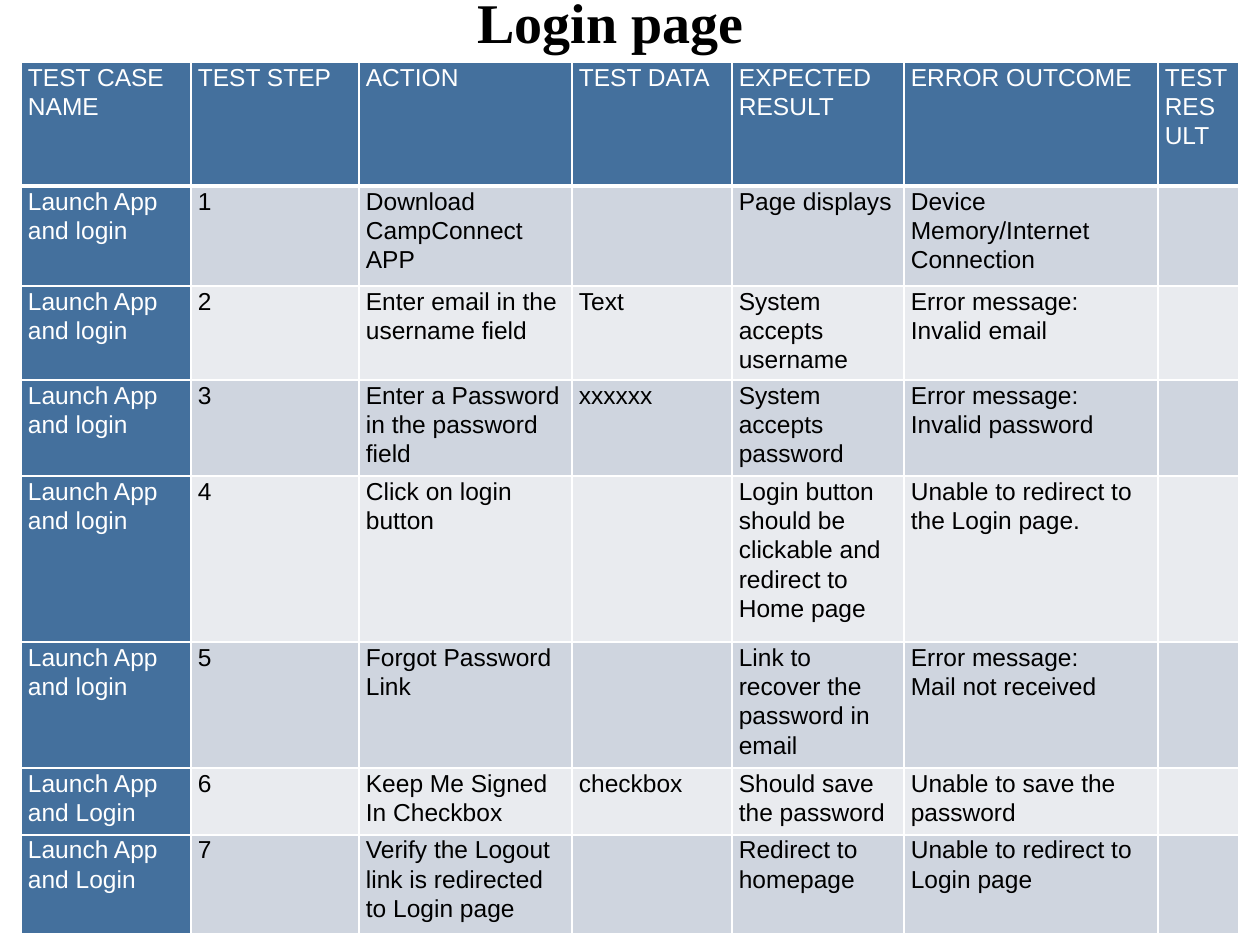
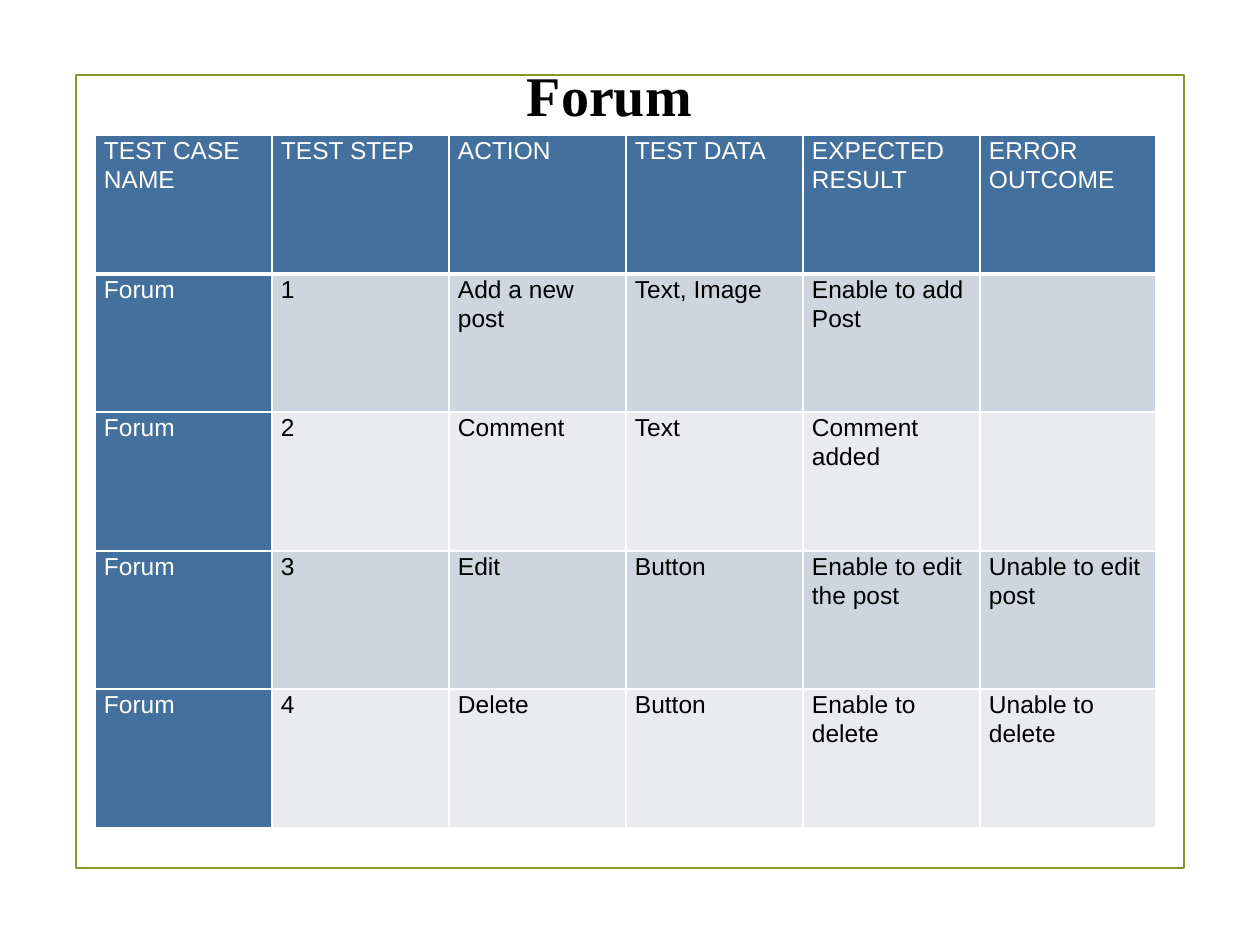
from lxml.etree import SubElement
from pptx import Presentation
from pptx.dml.color import RGBColor
from pptx.enum.shapes import MSO_SHAPE
from pptx.enum.text import PP_ALIGN
from pptx.oxml.ns import qn
from pptx.util import Emu, Pt

BLUE, BAND, PALE = "44709D", "CFD5DF", "E9EBEF"
WHITE, BLACK, GREEN = "FFFFFF", "000000", "83992A"


def px(n):
    return Emu(n * 914400 // 126)


def rgb(color):
    return RGBColor.from_string(color)


HEADERS = ["TEST CASE NAME", "TEST STEP", "ACTION", "TEST DATA",
           "EXPECTED RESULT", "ERROR OUTCOME"]

# Each row: case name, action, test data, expected result, error outcome
login_rows = [
    ["Launch App and login", "Download CampConnect APP", "", "Page displays",
     "Device Memory/Internet Connection"],
    ["Launch App and login", "Enter email in the username field", "Text",
     "System accepts username", "Error message: Invalid email"],
    ["Launch App and login", "Enter a Password in the password field", "xxxxxx",
     "System accepts password", "Error message:\nInvalid password"],
    ["Launch App and login", "Click on login button", "",
     "Login button should be clickable and redirect to Home page",
     "Unable to redirect to the Login page."],
    ["Launch App and login", "Forgot Password\nLink", "",
     "Link to recover the password in email", "Error message:\nMail not received"],
    ["Launch App and Login", "Keep Me Signed In Checkbox", "checkbox",
     "Should save the password", "Unable to save the password"],
    ["Launch App and Login", "Verify the Logout link is redirected to Login page", "",
     "Redirect to homepage", "Unable to redirect to Login page"],
]
forum_rows = [
    ["Forum", "Add a new post", "Text, Image", "Enable to add Post", ""],
    ["Forum", "Comment", "Text", "Comment added", ""],
    ["Forum", "Edit", "Button", "Enable to edit the post", "Unable to edit post"],
    ["Forum", "Delete", "Button", "Enable to delete", "Unable to delete"],
]

pages = [
    dict(title="Login page", title_box=(281, -19, 659, 81), framed=False,
         origin=(21, 62), inset=7, headers=HEADERS + ["TEST RESULT"], rows=login_rows,
         widths=[170, 168, 213, 160, 172, 254, 81],
         heights=[124, 100, 94, 96, 166, 126, 67, 99]),
    dict(title="Forum", title_box=(302, 54, 615, 81), framed=True,
         origin=(95, 135), inset=9, headers=HEADERS, rows=forum_rows,
         widths=[177] * 5 + [176], heights=[139, 138] * 2 + [139]),
]

prs = Presentation()
prs.slide_width, prs.slide_height = px(1260), px(945)

for page in pages:
    s = prs.slides.add_slide(prs.slide_layouts[6])

    # Green frame
    if page["framed"]:
        sp = s.shapes.add_shape(MSO_SHAPE.RECTANGLE, px(76), px(75), px(1108), px(793))
        sp.shadow.inherit = False
        sp.fill.background()
        sp.line.color.rgb = rgb(GREEN)
        sp.line.width = Pt(1.25)

    # Test case table
    headers, widths, heights = page["headers"], page["widths"], page["heights"]
    left, top = page["origin"]
    table = s.shapes.add_table(len(heights), len(widths), px(left), px(top),
                               px(sum(widths)), px(sum(heights))).table
    table.horz_banding = False
    for column, width in zip(table.columns, widths):
        column.width = px(width)
    for row, height in zip(table.rows, heights):
        row.height = px(height)

    grid = [headers]
    for step, (case, *details) in enumerate(page["rows"], 1):
        cells = [case, str(step), *details]
        grid.append(cells + [""] * (len(headers) - len(cells)))

    for r, texts in enumerate(grid):
        for c, text in enumerate(texts):
            cell = table.cell(r, c)
            is_header = r == 0 or c == 0
            cell.margin_left = cell.margin_right = px(page["inset"])
            cell.margin_top = cell.margin_bottom = 0
            cell.fill.solid()
            cell.fill.fore_color.rgb = rgb(BLUE if is_header else BAND if r % 2 else PALE)
            cell.text_frame.text = text
            for p in cell.text_frame.paragraphs:
                p.line_spacing = 1.07
                p.font.name, p.font.size, p.font.bold = "Arial", Pt(14), False
                p.font.color.rgb = rgb(WHITE if is_header else BLACK)
            # White borders, heavier under the header row
            tc_pr = cell.fill._xPr
            for i, side in enumerate(["lnL", "lnR", "lnT", "lnB"]):
                weight = 3 if r == 0 and side == "lnB" else 1
                ln = SubElement(tc_pr, qn(f"a:{side}"), w=str(Pt(weight)))
                SubElement(SubElement(ln, qn("a:solidFill")), qn("a:srgbClr"), val=WHITE)
                tc_pr.insert(i, ln)

    # Title
    tf = s.shapes.add_textbox(*map(px, page["title_box"])).text_frame
    tf.word_wrap = True
    p = tf.paragraphs[0]
    p.text = page["title"]
    p.alignment = PP_ALIGN.CENTER
    p.font.name, p.font.size, p.font.bold = "Times New Roman", Pt(32), True
    p.font.color.rgb = rgb(BLACK)

prs.save("out.pptx")
